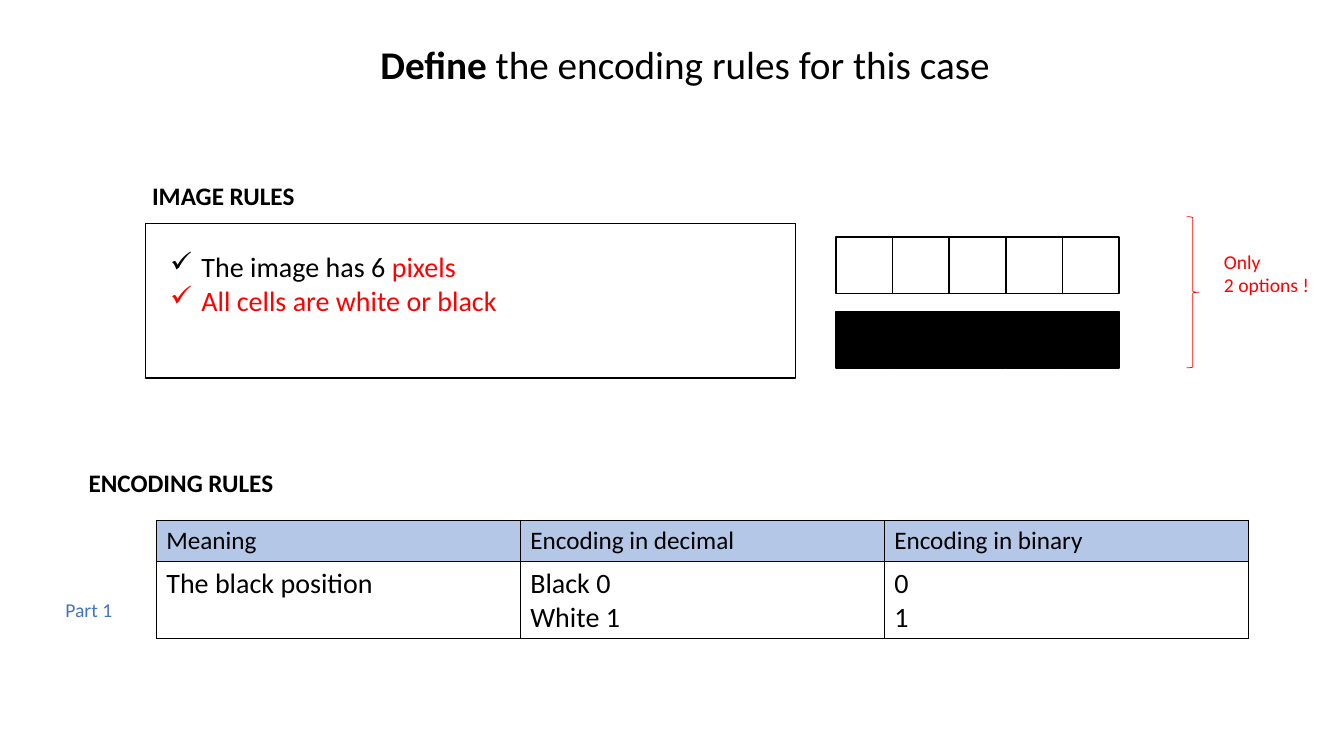
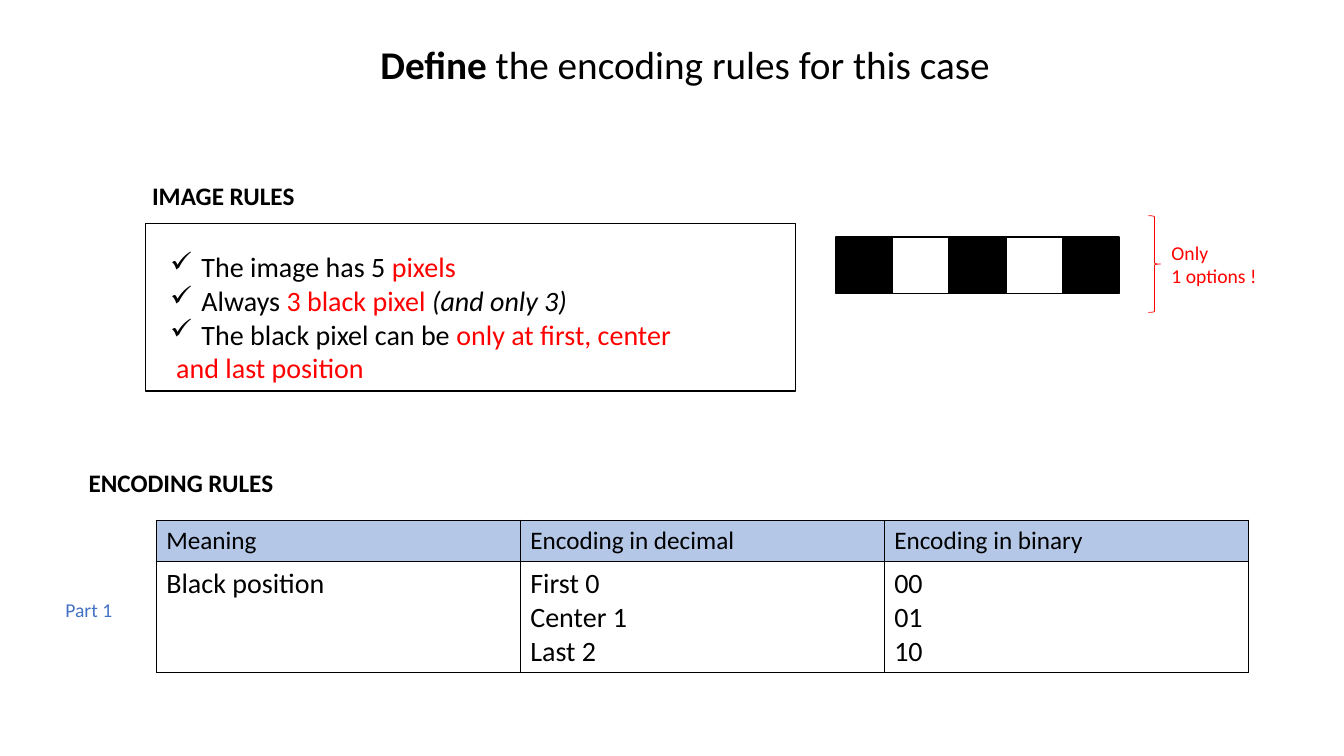
"""Build two slides on the encoding rules of small pixel images."""
from dataclasses import dataclass

from lxml.etree import SubElement
from pptx import Presentation
from pptx.dml.color import RGBColor as Rgb
from pptx.enum.shapes import MSO_SHAPE as Shape
from pptx.enum.text import MSO_ANCHOR as Anchor, MSO_AUTO_SIZE as Fit, PP_ALIGN as Align
from pptx.oxml.ns import qn
from pptx.util import Inches, Pt


@dataclass(frozen=True)
class Theme:
    """Hold the colours, font and type sizes."""
    font: str = "Calibri"
    black: str = "000000"
    white: str = "FFFFFF"
    red: str = "FF0000"
    blue: str = "4472C4"
    head: str = "B4C7E7"
    title: int = 28
    body: int = 20
    label: int = 18
    note: int = 14


T = Theme()
TITLE = [("Define", "bold"), (" the encoding rules for this case", "")]
LABELS = [
    ("IMAGE RULES", (1.41, 1.74, 2.2, 0.4), T.label, T.black, "bold"),
    ("ENCODING RULES", (0.78, 4.59, 2.6, 0.4), T.label, T.black, "bold"),
    ("Part 1", (0.55, 5.88, 0.9, 0.34), T.note, T.blue, ""),
]
HEADS = ["Meaning", "Encoding in decimal", "Encoding in binary"]
SLIDES = [
    {
        "rules": [
            [("The image has 6 ", ""), ("pixels", "red")],
            [("All cells are white or black", "red")],
        ],
        "tail": "",
        "frame": 1.53,
        "strips": ["WWWWW", "BBBBB"],
        "brace": (11.77, 2.15, 0.12, 1.5),
        "note": ["Only", "2 options !"],
        "spot": (12.04, 2.43, 1.25, 0.57),
        "codes": [["The black position"], ["Black 0", "White 1"], ["0", "1"]],
    },
    {
        "rules": [
            [("The image has 5 ", ""), ("pixels", "red")],
            [("Always ", ""), ("3 black pixel ", "red"), ("(and only 3)", "italic")],
            [("The black pixel can be ", ""), ("only at first, center", "red")],
        ],
        "tail": "and last position",
        "frame": 1.66,
        "strips": ["BWBWB"],
        "brace": (11.39, 2.14, 0.12, 0.96),
        "note": ["Only", "1 options !"],
        "spot": (11.52, 2.34, 1.25, 0.57),
        "codes": [["Black position"], ["First 0", "Center 1", "Last 2"], ["00", "01", "10"]],
    },
]


def box(area):
    return [Inches(n) for n in area]


def plain(lines, style=""):
    return [[(line, style)] for line in lines]


def style(font, size, color):
    font.name, font.size = T.font, Pt(size)
    font.color.rgb = Rgb.from_string(color)


def indent(para, left, hang=0, mark=""):
    props = para._p.get_or_add_pPr()
    props.set("marL", str(Inches(left)))
    props.set("indent", str(Inches(hang)))
    if mark:
        SubElement(props, qn("a:buChar")).set("char", mark)


def write(frame, paras, size, color=T.black, mark=""):
    for num, parts in enumerate(paras):
        para = frame.add_paragraph() if num else frame.paragraphs[0]
        if mark:
            indent(para, 0.31, -0.31, mark)
        style(para.font, size, color)
        for text, look in parts:
            run = para.add_run()
            run.text = text
            if look == "bold":
                run.font.bold = True
            elif look == "italic":
                run.font.italic = True
            elif look == "red":
                run.font.color.rgb = Rgb.from_string(T.red)


def add_text(slide, area, paras, size, color=T.black, mark=""):
    frame = slide.shapes.add_textbox(*box(area)).text_frame
    frame.word_wrap = True
    write(frame, paras, size, color, mark)
    return frame


def add_shape(slide, kind, area, fill=None, line=T.black, width=1):
    shape = slide.shapes.add_shape(kind, *box(area))
    shape.shadow.inherit = False
    if fill:
        shape.fill.solid()
        shape.fill.fore_color.rgb = Rgb.from_string(fill)
    else:
        shape.fill.background()
    shape.line.color.rgb = Rgb.from_string(line)
    shape.line.width = Pt(width)


def add_title(slide):
    title = slide.shapes.title
    title.left, title.top, title.width, title.height = box((3, 0.35, 7.59, 0.57))
    frame = title.text_frame
    frame.auto_size, frame.vertical_anchor = Fit.NONE, Anchor.TOP
    write(frame, [TITLE], T.title)
    frame.paragraphs[0].alignment = Align.CENTER


def add_rules(slide, data):
    add_shape(slide, Shape.RECTANGLE, (1.44, 2.22, 6.45, data["frame"]))
    frame = add_text(slide, (1.59, 2.43, 6.2, 1.45), data["rules"], T.body, mark="✓")
    if data["tail"]:
        para = frame.add_paragraph()
        indent(para, 0.06)
        style(para.font, T.body, T.red)
        para.add_run().text = data["tail"]


def add_strips(slide, strips):
    side = 2.81 / 5
    fills = {"W": T.white, "B": T.black}
    for row, strip in enumerate(strips):
        for col, key in enumerate(strip):
            area = (8.29 + col * side, 2.35 + row * 0.74, side, side)
            add_shape(slide, Shape.RECTANGLE, area, fills[key])


def edge(cell):
    props = cell._tc.get_or_add_tcPr()
    for side in "LRTB":
        line = SubElement(props, qn(f"a:ln{side}"), w=str(Pt(1)))
        fill = SubElement(line, qn("a:solidFill"))
        SubElement(fill, qn("a:srgbClr"), val=T.black)


def add_codes(slide, codes):
    tall = 0.1 + max(map(len, codes)) / 3
    area = (1.55, 5.16, 10.83, 0.41 + tall)
    table = slide.shapes.add_table(2, len(HEADS), *box(area)).table
    table.first_row = table.horz_banding = False
    for row, high in zip(table.rows, (0.41, tall)):
        row.height = Inches(high)
    for col, (head, code) in enumerate(zip(HEADS, codes)):
        for row, (lines, size) in enumerate([([head], T.label), (code, T.body)]):
            cell = table.cell(row, col)
            edge(cell)
            cell.fill.solid()
            cell.fill.fore_color.rgb = Rgb.from_string(T.white if row else T.head)
            write(cell.text_frame, plain(lines), size)


def main():
    deck = Presentation()
    deck.slide_width, deck.slide_height = Inches(13.33), Inches(7.5)
    for data in SLIDES:
        slide = deck.slides.add_slide(deck.slide_layouts[5])
        add_title(slide)
        for text, area, size, color, look in LABELS:
            add_text(slide, area, plain([text], look), size, color)
        add_codes(slide, data["codes"])
        add_rules(slide, data)
        add_strips(slide, data["strips"])
        add_shape(slide, Shape.RIGHT_BRACE, data["brace"], line=T.red, width=0.5)
        add_text(slide, data["spot"], plain(data["note"]), T.note, T.red)
    deck.save("out.pptx")


if __name__ == "__main__":
    main()
